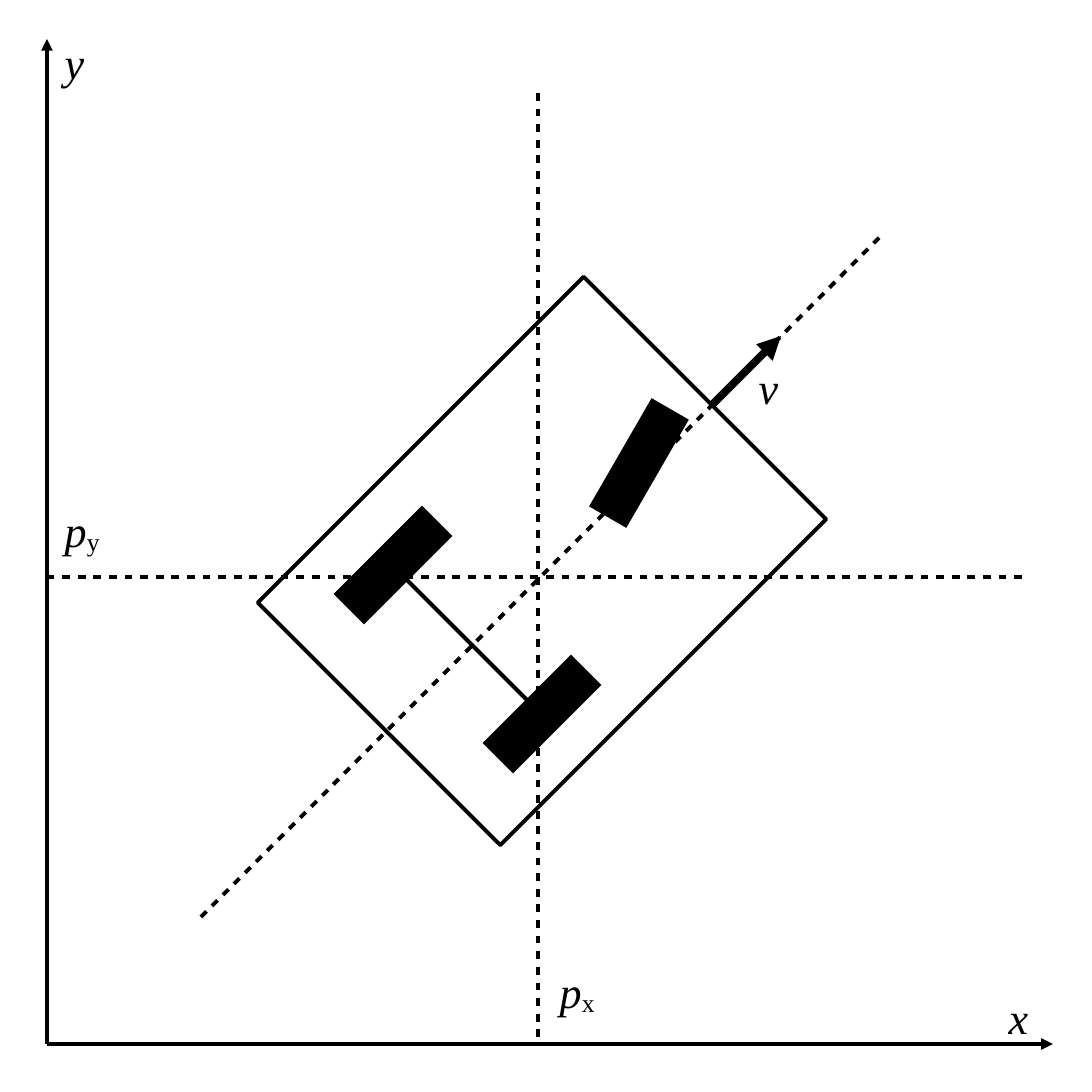
from dataclasses import dataclass

from lxml.etree import SubElement
from pptx import Presentation
from pptx.dml.color import RGBColor
from pptx.enum.shapes import MSO_CONNECTOR as Connector, MSO_SHAPE as Shape
from pptx.enum.text import MSO_AUTO_SIZE as AutoSize
from pptx.oxml.ns import qn
from pptx.util import Pt

PX = 9227  # EMU per px
SIDE = 1092


@dataclass(frozen=True)
class Theme:
    ink: RGBColor = RGBColor(0, 0, 0)
    paper: RGBColor = RGBColor(255, 255, 255)
    font: str = "Times New Roman"
    text_size: float = 32
    thin: float = 2.83
    thick: float = 5.67


THEME = Theme()

# Content: lines as (x1, y1, x2, y2), boxes as (centre x, centre y, rotation)
AXES = [(47, 1044, 47, 39), (47, 1044, 1053, 1044)]
AXLE = (530, 703, 405, 578)
GUIDES = [(538, 93, 538, 1044), (1022, 577, 44, 577), (201, 917, 883, 234)]
VELOCITY = (711, 406, 781, 336)
BODY, BODY_SIZE = (542, 561, 315), (461, 343)
WHEELS = [(393, 565, 315), (542, 714, 315), (639, 463, 300)]
WHEEL_SIZE = (125, 43)
LABELS = [  # symbol, subscript, left, top, width, height
    ("p", "x", 550, 960, 141, 73),
    ("x", "", 999, 986, 93, 58),
    ("y", "", 55, 31, 141, 58),
    ("p", "y", 55, 499, 141, 73),
    ("v", "", 749, 356, 141, 58),
]


def emu(*lengths):
    return [round(length * PX) for length in lengths]


def add_line(slide, ends, width=THEME.thin, dashed=False, arrow=False):
    connector = slide.shapes.add_connector(Connector.STRAIGHT, *emu(*ends))
    connector.line.width = Pt(width)
    connector.line.color.rgb = THEME.ink
    properties = connector._element.spPr
    outline = properties.find(qn("a:ln"))
    if dashed:
        dashes = SubElement(outline, qn("a:custDash"))
        SubElement(dashes, qn("a:ds"), d="200000", sp="200000")
    if arrow:
        SubElement(outline, qn("a:tailEnd"), type="triangle")
    SubElement(properties, qn("a:effectLst"))


def add_box(slide, place, size, fill, outlined=False):
    centre_x, centre_y, rotation = place
    width, height = size
    left, top = centre_x - width / 2, centre_y - height / 2
    shape = slide.shapes.add_shape(Shape.RECTANGLE, *emu(left, top, width, height))
    shape.rotation = rotation
    shape.shadow.inherit = False
    shape.fill.solid()
    shape.fill.fore_color.rgb = fill
    if outlined:
        shape.line.color.rgb = THEME.ink
        shape.line.width = Pt(THEME.thin)
    else:
        shape.line.fill.background()


def add_run(paragraph, text, italic=True, baseline=None):
    run = paragraph.add_run()
    run.text = text
    run.font.name = THEME.font
    run.font.size = Pt(THEME.text_size)
    run.font.italic = italic
    run.font.color.rgb = THEME.ink
    if baseline is not None:
        run.font._element.set("baseline", str(baseline))


def add_label(slide, symbol, subscript, *frame):
    box = slide.shapes.add_textbox(*emu(*frame))
    box.text_frame.word_wrap = True
    box.text_frame.auto_size = AutoSize.SHAPE_TO_FIT_TEXT
    paragraph = box.text_frame.paragraphs[0]
    add_run(paragraph, symbol)
    if subscript:
        add_run(paragraph, subscript, italic=False, baseline=-8000)


def main():
    presentation = Presentation()
    presentation.slide_width, presentation.slide_height = emu(SIDE, SIDE)
    slide = presentation.slides.add_slide(presentation.slide_layouts[6])

    # Coordinate axes
    for axis in AXES:
        add_line(slide, axis, arrow=True)

    # Vehicle
    add_box(slide, BODY, BODY_SIZE, THEME.paper, outlined=True)
    add_line(slide, AXLE)
    for wheel in WHEELS:
        add_box(slide, wheel, WHEEL_SIZE, THEME.ink)

    # Position guides, heading and velocity
    for guide in GUIDES:
        add_line(slide, guide, dashed=True)
    add_line(slide, VELOCITY, width=THEME.thick, arrow=True)

    # Symbols
    for label in LABELS:
        add_label(slide, *label)

    presentation.save("out.pptx")


if __name__ == "__main__":
    main()
